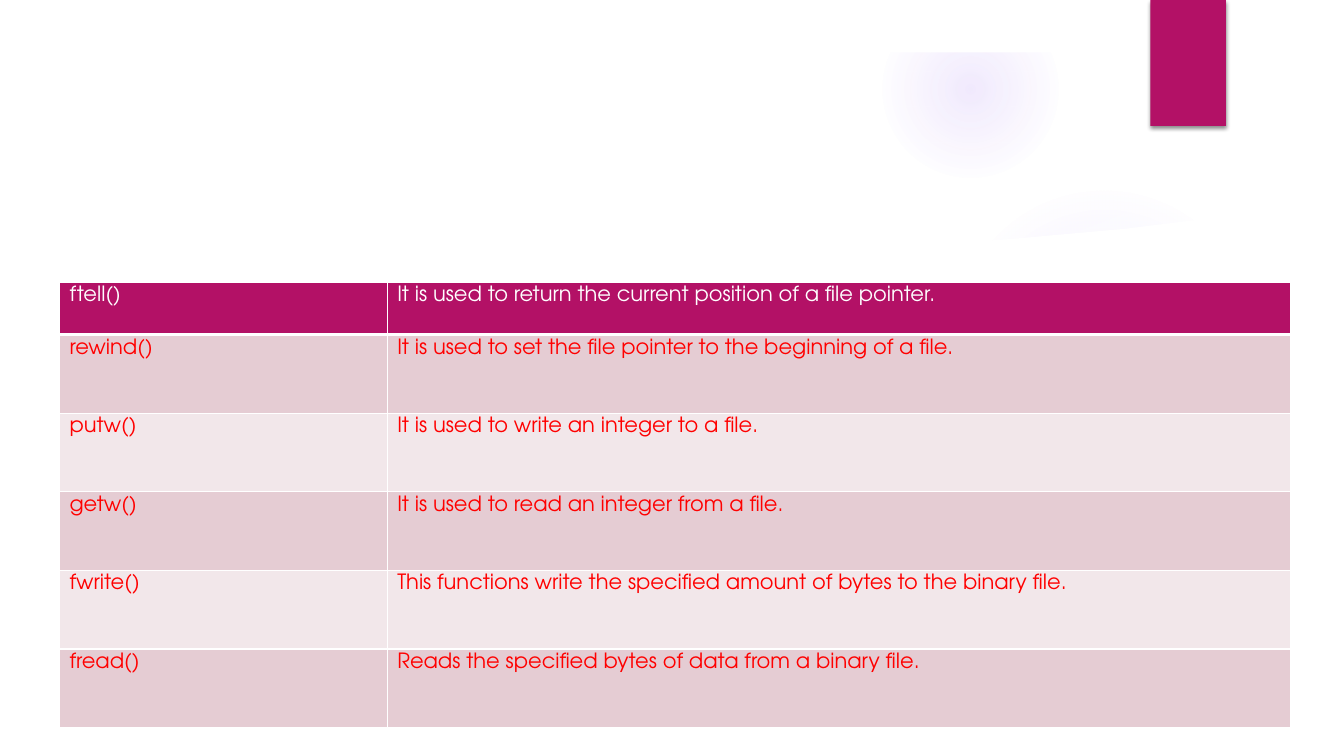
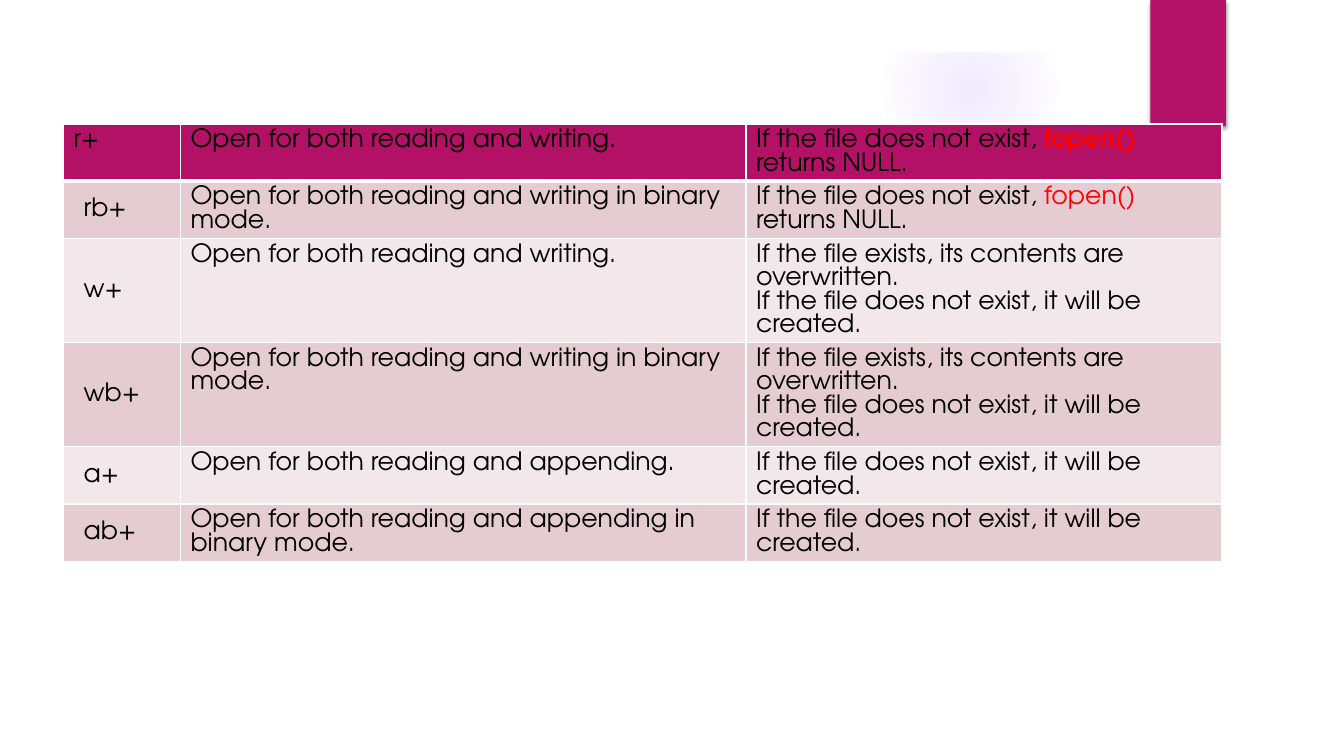
from dataclasses import dataclass

from pptx import Presentation
from pptx.dml.color import RGBColor
from pptx.enum.shapes import MSO_SHAPE as Shape
from pptx.enum.text import MSO_ANCHOR as Anchor
from pptx.oxml import parse_xml
from pptx.oxml.ns import nsdecls, qn
from pptx.util import Inches, Pt


@dataclass(frozen=True)
class Theme:
    accent: str = "B31166"
    glow: str = "9B6BF2"
    white: str = "FFFFFF"
    black: str = "000000"
    red: str = "FF0000"
    bands: tuple = ("E5CCD3", "F2E7EA")
    font: str = "TeX Gyre Adventor"
    function_size: int = 15
    mode_size: int = 18
    rule: int = 1
    header_rule: int = 3


THEME = Theme()
WIDTH, HEIGHT = 13.33, 7.5

# Background outlines, in inches on the slide
PANEL = [
    (0.5, 2.04), (0.5, 7), (12.84, 7), (12.84, 2.04), (12.28, 2.13),
    (11.72, 2.2), (11.16, 2.27), (10.6, 2.32), (10.04, 2.37), (9.49, 2.41),
    (8.94, 2.44), (8.4, 2.46), (7.86, 2.47), (7.34, 2.48), (6.82, 2.48),
    (6.32, 2.47), (5.83, 2.46), (5.35, 2.45), (4.88, 2.43), (4.01, 2.38),
    (3.21, 2.33), (2.49, 2.27), (1.87, 2.21), (1.35, 2.15), (0.94, 2.1),
]
SHEEN = [
    (9.34, 2.5), (10.03, 2.47), (11.02, 2.38), (12.06, 2.26), (12.89, 2.14),
    (12.83, 1.66), (12.36, 1.81), (11.9, 1.94), (11.44, 2.06), (10.98, 2.16),
    (10.53, 2.25), (10.1, 2.32), (9.69, 2.38), (9.3, 2.43),
]
FRAME_OUTER = [(0, 0), (0, HEIGHT), (WIDTH, HEIGHT), (WIDTH, 0)]
FRAME_INNER = [(12.81, 6.98), (0.52, 6.98), (0.52, 0.52), (12.81, 0.52)]

FUNCTIONS = [
    ("ftell()", "It is used to return the current position of a file pointer."),
    ("rewind()", "It is used to set the file pointer to the beginning of a file."),
    ("putw()", "It is used to write an integer to a file."),
    ("getw()", "It is used to read an integer from a file."),
    ("fwrite()", "This functions write the specified amount of bytes to the binary file."),
    ("fread()", "Reads the specified bytes of data from a binary file."),
]

READ_WRITE = "Open for both reading and writing."
READ_WRITE_BINARY = "Open for both reading and writing in binary mode."
CREATED = "If the file does not exist, it will be created."
OVERWRITTEN = ["If the file exists, its contents are overwritten.", CREATED]


def returns_null(**emphasis):
    """One paragraph of runs with the function name marked."""
    marked = ("fopen() ", {"color": THEME.red, **emphasis})
    return [[("If the file does not exist, ", {}), marked, ("returns NULL.", {})]]


MODES = [
    ("r+", READ_WRITE, returns_null(bold=True)),
    ("rb+", READ_WRITE_BINARY, returns_null()),
    ("w+", READ_WRITE, OVERWRITTEN),
    ("wb+", READ_WRITE_BINARY, OVERWRITTEN),
    ("a+", "Open for both reading and appending.", CREATED),
    ("ab+", "Open for both reading and appending in binary mode.", CREATED),
]


def paint(shape, color):
    shape.shadow.inherit = False
    shape.line.fill.background()
    shape.fill.solid()
    shape.fill.fore_color.rgb = RGBColor.from_string(color)


def write(frame, text, **base):
    """Text is a string or a list of paragraphs, each a string or (text, format) runs."""
    for i, content in enumerate([text] if isinstance(text, str) else text):
        paragraph = frame.add_paragraph() if i else frame.paragraphs[0]
        for words, special in [(content, {})] if isinstance(content, str) else content:
            style = {"bold": False, "font": THEME.font, **base, **special}
            run = paragraph.add_run()
            run.text = words
            run.font.name = style["font"]
            run.font.size = Pt(style["size"])
            run.font.bold = style["bold"]
            run.font.color.rgb = RGBColor.from_string(style["color"])


def outline(slide, *contours):
    """A white shape bounded by closed contours."""
    points = [[(Inches(x), Inches(y)) for x, y in contour] for contour in contours]
    builder = slide.shapes.build_freeform(*points[0][0])
    for i, contour in enumerate(points):
        if i:
            builder.move_to(*contour[0])
        builder.add_line_segments(contour[1:], close=True)
    shape = builder.convert_to_shape()
    paint(shape, THEME.white)
    return shape


def glow(slide, left, top, size, stops):
    """A round haze; stops are (position, opacity) in percent."""
    haze = slide.shapes.add_shape(Shape.OVAL, *map(Inches, (left, top, size, size)))
    paint(haze, THEME.glow)
    marks = "".join(
        f'<a:gs pos="{position * 1000}"><a:srgbClr val="{THEME.glow}">'
        f'<a:alpha val="{opacity * 1000}"/></a:srgbClr></a:gs>'
        for position, opacity in stops)
    gradient = parse_xml(
        f'<a:gradFill {nsdecls("a")} rotWithShape="1"><a:gsLst>{marks}</a:gsLst>'
        '<a:path path="circle"><a:fillToRect l="50000" t="50000" r="50000" b="50000"/>'
        '</a:path></a:gradFill>')
    properties = haze.element.spPr
    properties.replace(properties.find(qn("a:solidFill")), gradient)


def backdrop(slide):
    slide.background.fill.solid()
    slide.background.fill.fore_color.rgb = RGBColor.from_string(THEME.white)
    glow(slide, 9.41, 1.83, 3.08, [(0, 7), (36, 6), (69, 0)])
    glow(slide, 8.75, 0.01, 1.75, [(0, 14), (36, 7), (73, 0)])
    sheen = outline(slide, SHEEN)
    sheen.rotation = 350.2
    sheen_color = sheen.element.spPr.find(qn("a:solidFill"))[0]
    sheen_color.append(parse_xml(f'<a:alpha {nsdecls("a")} val="20000"/>'))
    outline(slide, PANEL)
    outline(slide, FRAME_OUTER, FRAME_INNER)
    bookmark(slide, 11.41, 0, 0.75, 1.25)


def bookmark(slide, *box):
    ribbon = slide.shapes.add_shape(Shape.RECTANGLE, *map(Inches, box))
    paint(ribbon, THEME.accent)
    ribbon.element.spPr.find(qn("a:effectLst")).append(parse_xml(
        f'<a:outerShdw {nsdecls("a")} blurRad="{Pt(3)}" dist="{Pt(2)}" dir="5400000" '
        f'rotWithShape="0"><a:srgbClr val="{THEME.black}"><a:alpha val="45000"/>'
        '</a:srgbClr></a:outerShdw>'))


def rule_cell(cell, **widths):
    """White borders, given in points by side (L, R, T, B in that order)."""
    properties = cell._tc.get_or_add_tcPr()
    for i, (side, width) in enumerate(widths.items()):
        properties.insert(i, parse_xml(
            f'<a:ln{side} {nsdecls("a")} w="{Pt(width)}"><a:solidFill>'
            f'<a:srgbClr val="{THEME.white}"/></a:solidFill></a:ln{side}>'))


def banded_table(slide, left, top, columns, heights, rows, cell_format):
    """cell_format(row, column) gives margins, anchor and text format."""
    box = map(Inches, (left, top, sum(columns), sum(heights)))
    table = slide.shapes.add_table(len(rows), len(columns), *box).table
    for column, width in zip(table.columns, columns):
        column.width = Inches(width)
    for r, (height, entries) in enumerate(zip(heights, rows)):
        table.rows[r].height = Inches(height)
        for c, entry in enumerate(entries):
            cell = table.cell(r, c)
            (side, end), anchor, text_format = cell_format(r, c)
            cell.margin_left = cell.margin_right = Inches(side)
            cell.margin_top = cell.margin_bottom = Inches(end)
            cell.vertical_anchor = anchor
            cell.fill.solid()
            band = THEME.bands[(r - 1) % 2] if r else THEME.accent
            cell.fill.fore_color.rgb = RGBColor.from_string(band)
            rule_cell(cell, L=THEME.rule, R=THEME.rule,
                      T=THEME.header_rule if r == 1 else THEME.rule,
                      B=THEME.rule if r else THEME.header_rule)
            write(cell.text_frame, entry, **text_format)


def function_format(row, column):
    color = THEME.red if row else THEME.white
    return (0.1, 0.04), Anchor.TOP, {"size": THEME.function_size, "color": color}


def mode_format(row, column):
    text_format = {"size": THEME.mode_size, "color": THEME.black}
    if row and column == 0:
        return (0.2, 0.1), Anchor.MIDDLE, text_format
    return (0.1, 0.05), Anchor.TOP, text_format


def table_slide(deck, *table):
    slide = deck.slides.add_slide(deck.slide_layouts[6])
    backdrop(slide)
    banded_table(slide, *table)


def main():
    deck = Presentation()
    deck.slide_width, deck.slide_height = Inches(WIDTH), Inches(HEIGHT)
    table_slide(deck, 0.59, 2.8, (3.25, 8.96), [0.52] + [0.78] * 5,
                FUNCTIONS, function_format)
    table_slide(deck, 0.63, 1.23, (1.16, 5.61, 4.72), [0.41] * 6,
                MODES, mode_format)
    deck.save("out.pptx")


if __name__ == "__main__":
    main()
